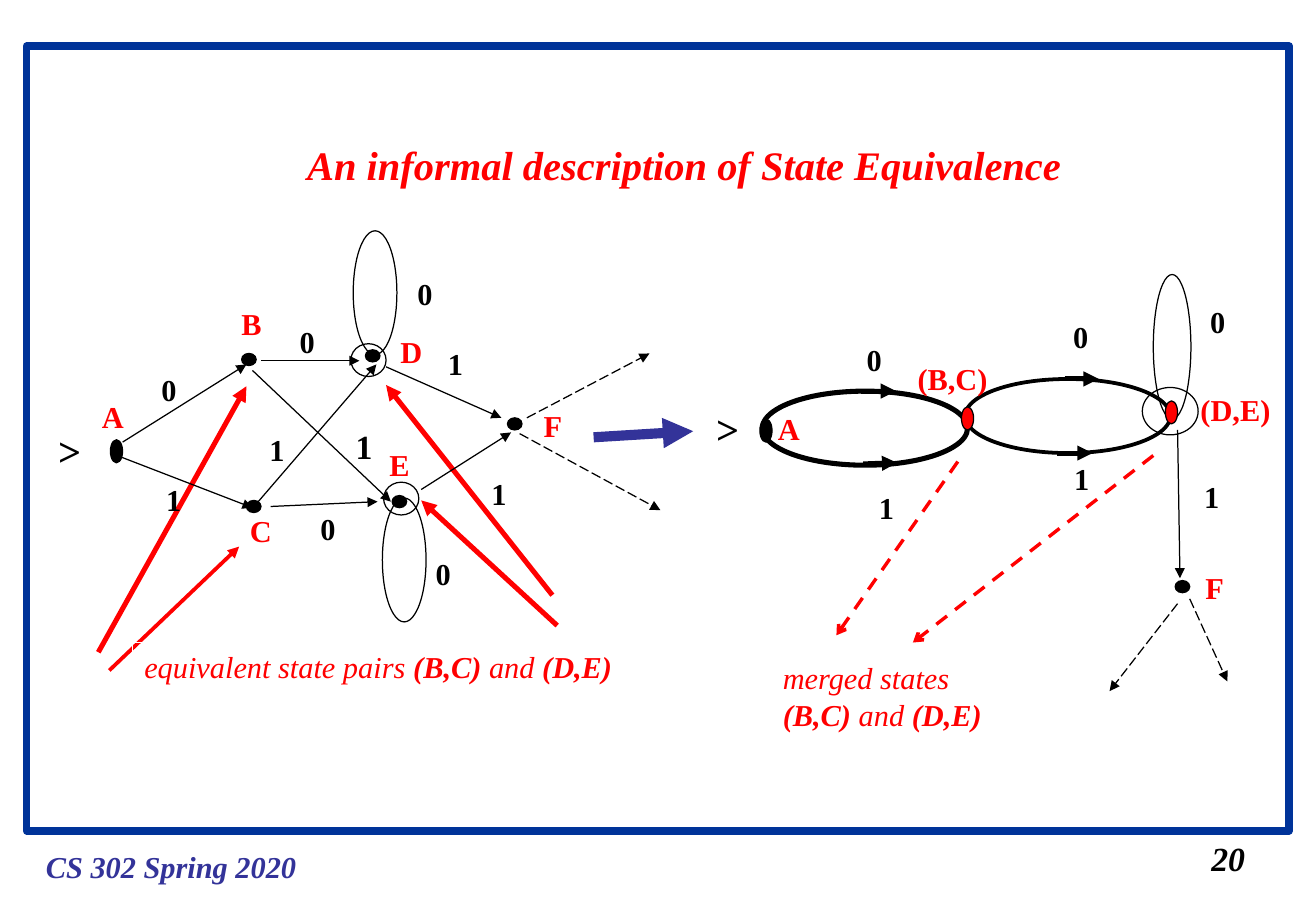
from dataclasses import dataclass

from lxml.etree import SubElement
from pptx import Presentation
from pptx.dml.color import RGBColor
from pptx.enum.dml import MSO_LINE_DASH_STYLE as Dash
from pptx.enum.shapes import MSO_CONNECTOR as Connector, MSO_SHAPE as Shape
from pptx.enum.text import MSO_ANCHOR as Anchor, MSO_AUTO_SIZE as AutoSize, PP_ALIGN as Align
from pptx.oxml.ns import qn
from pptx.util import Inches, Pt

BLACK = RGBColor(0x00, 0x00, 0x00)
WHITE = RGBColor(0xFF, 0xFF, 0xFF)
RED = RGBColor(0xFF, 0x00, 0x00)
INDIGO = RGBColor(0x33, 0x33, 0x99)
FRAME_BLUE = RGBColor(0x00, 0x33, 0x99)
FONT = "Times New Roman"
CELL = Inches(0.1)
COLUMNS, ROWS = 108.4, 75
THIN, MEDIUM, THICK = 0.75, 2.25, 3
DOT, NODE = (1.2, 1), (1, 1.9)
DIGIT_WIDTH, STATE_WIDTH, PAIR_WIDTH = 3.5, 4, 7.8


def cells(*counts):
    """Convert counts of grid cells to slide lengths."""
    return [round(count * CELL) for count in counts]


def write(shape, lines, size, color):
    """Fill a shape with lines of (text, bold, italic) runs."""
    frame = shape.text_frame
    frame.word_wrap = True
    frame.auto_size = AutoSize.NONE
    frame.vertical_anchor = Anchor.TOP
    for index, runs in enumerate(lines):
        paragraph = frame.add_paragraph() if index else frame.paragraphs[0]
        paragraph.alignment = Align.LEFT
        for text, bold, italic in runs:
            run = paragraph.add_run()
            run.text = text
            run.font.name = FONT
            run.font.size = Pt(size)
            run.font.bold = bold
            run.font.italic = italic
            run.font.color.rgb = color


@dataclass
class Region:
    """A box on the slide grid whose parts are placed from its corner."""

    slide: object
    left: float
    top: float

    def outline(self, kind, place, line=BLACK, width=THIN, fill=None):
        """Add a preset shape at (left, top, width, height)."""
        left, top, wide, high = place
        shape = self.slide.shapes.add_shape(
            kind, *cells(self.left + left, self.top + top, wide, high))
        shape.shadow.inherit = False
        shape.line.color.rgb = line
        shape.line.width = Pt(width)
        if fill is None:
            shape.fill.background()
        else:
            shape.fill.solid()
            shape.fill.fore_color.rgb = fill
        return shape

    def ovals(self, size, corners, **style):
        """Add ovals of one size at each corner."""
        for corner in corners:
            self.outline(Shape.OVAL, (*corner, *size), **style)

    def arrows(self, routes, color=BLACK, width=THIN, dash=None, head="triangle"):
        """Add an arrow along each (start x, start y, end x, end y) route."""
        for start_x, start_y, end_x, end_y in routes:
            arrow = self.slide.shapes.add_connector(
                Connector.STRAIGHT,
                *cells(self.left + start_x, self.top + start_y,
                       self.left + end_x, self.top + end_y))
            arrow.line.color.rgb = color
            arrow.line.width = Pt(width)
            if dash:
                arrow.line.dash_style = dash
            SubElement(arrow.line._get_or_add_ln(), qn("a:tailEnd"), type=head)
            SubElement(arrow._element.spPr, qn("a:effectLst"))

    def text(self, place, lines, size=18, color=RED):
        """Add a text box at (left, top, width, height)."""
        left, top, wide, high = place
        box = self.slide.shapes.add_textbox(
            *cells(self.left + left, self.top + top, wide, high))
        write(box, lines, size, color)

    def labels(self, entries, width, color, size=18):
        """Add a bold label for each (text, left, top) entry."""
        for text, left, top in entries:
            self.text((left, top, width, size / 4.5), [[(text, True, False)]], size, color)


def add_page(slide):
    """Add the frame, title, footer and page number."""
    page = Region(slide, 0, 0)
    page.outline(Shape.RECTANGLE, (2.2, 3.8, 104, 64.6), FRAME_BLUE, 4.5)
    title = slide.shapes.title
    title.left, title.top, title.width, title.height = cells(24.3, 11, 64.5, 5)
    write(title, [[("An informal description of State Equivalence", True, True)]], 24, RED)
    page.text((2.8, 69.3, 23, 4), [[("CS 302 Spring 2020", True, True)]], 18, INDIGO)
    page.text((98.8, 68.5, 4.8, 4.4), [[("20", True, True)]], 20, BLACK)
    page.arrows([(48.9, 36, 57.1, 35.5)], INDIGO, 6, Dash.LONG_DASH)


def add_equivalent_pairs(region):
    """Point from the caption to the equivalent states."""
    region.arrows([(0.1, 22.7, 12.3, 0.8), (37.5, 18, 23.8, 0.7),
                   (37.9, 20.5, 26.7, 10.2)], RED, THICK)
    region.arrows([(1, 24.2, 11.7, 14)], RED, MEDIUM)
    caption = region.outline(Shape.RECTANGLE, (2.9, 21.9, 41.1, 4), WHITE)
    write(caption, [[("equivalent state pairs ", False, True), ("(B,C)", True, True),
                     (" and ", False, True), ("(D,E)", True, True)]], 18, RED)


def add_full_automaton(region):
    """Draw the automaton with states A to F."""
    region.ovals(NODE, [(6.1, 17.2)], fill=BLACK)
    region.ovals(DOT, [(16.9, 10.1), (17.3, 22.2), (27.1, 9.8), (38.8, 15.4),
                       (29.3, 21.8)], fill=BLACK)
    region.ovals((2.9, 2.7), [(28.6, 20.7), (25.9, 9.3)])
    region.ovals((3.6, 10.2), [(26.1, 0), (28.5, 22)])
    region.arrows([(7.1, 17.4, 17.3, 11), (6.9, 18.6, 17.8, 22.8),
                   (17.8, 11.5, 29.2, 22.3), (18.1, 22.5, 28, 11),
                   (18.5, 10.7, 26.6, 10.7), (19.3, 22.7, 28.1, 22.3),
                   (28.8, 11.2, 38.3, 15.4), (31.7, 21.3, 39.1, 16.6)])
    region.arrows([(40.4, 15.4, 50.5, 10.1), (39.8, 16.7, 51.4, 23)], dash=Dash.LONG_DASH)
    region.labels([("0", 9.3, 11.1), ("1", 9.7, 20.1), ("0", 20.7, 7.1),
                   ("0", 22.4, 22.5), ("1", 18.2, 16), ("0", 31.9, 26.2),
                   ("0", 30.4, 3.2), ("1", 32.9, 8.9), ("1", 36.5, 19.6)],
                  DIGIT_WIDTH, BLACK)
    region.labels([("1", 25.3, 15.6)], DIGIT_WIDTH, BLACK, 20)
    region.labels([("A", 4.4, 13.3), ("B", 15.9, 5.6), ("C", 16.6, 22.7),
                   ("D", 29, 7.9), ("E", 28.1, 17.2), ("F", 40.8, 14)],
                  STATE_WIDTH, RED)
    region.labels([(">", 0.8, 15.6)], STATE_WIDTH, BLACK, 24)


def add_merged_automaton(region):
    """Draw the automaton after its equivalent states are merged."""
    region.ovals((16.9, 6.1), [(4.8, 10.2)], width=THICK)
    region.ovals((16.9, 6.1), [(21.5, 9.2)], width=MEDIUM)
    region.ovals((3.1, 11.9), [(37, 0.6)])
    region.ovals(NODE, [(4.6, 12.5)], fill=BLACK)
    region.ovals(NODE, [(21.2, 11.5), (38, 11)], fill=RED)
    region.ovals((4.6, 3.9), [(36.1, 9.9)])
    region.ovals(DOT, [(38.8, 25.8)], fill=BLACK)
    region.arrows([(12.9, 10.2, 15.8, 10.2), (13.1, 16.2, 15.9, 16.1),
                   (29.7, 9.2, 32.5, 9.2), (29.1, 15.3, 32, 15.3)], width=THICK)
    region.arrows([(39, 13.4, 39.2, 25.6)])
    region.arrows([(39, 27.7, 33.4, 34.9), (40, 27.3, 43.1, 34.1)], dash=Dash.LONG_DASH)
    region.labels([("0", 29.4, 3.7), ("0", 12.4, 5.6), ("1", 13.4, 17.8),
                   ("1", 29.5, 15.4), ("0", 40.7, 2.5), ("1", 40.2, 16.9)],
                  DIGIT_WIDTH, BLACK)
    region.labels([("A", 5.1, 11.3), ("F", 40.3, 24.4)], STATE_WIDTH, RED)
    region.labels([("(B,C)", 16.6, 7.2), ("(D,E)", 39.9, 9.7)], PAIR_WIDTH, RED)
    region.labels([(">", 0, 10.8)], STATE_WIDTH, BLACK, 24)


def add_merged_states(region):
    """Point from the merged states to their caption."""
    region.arrows([(15.9, 1, 5.9, 15.3), (32, 0.5, 12.2, 15.9)],
                  RED, 2, Dash.DASH, "arrow")
    region.text((0.5, 16.8, 19, 7),
                [[("merged states", False, True)],
                 [("(B,C) ", True, True), ("and ", False, True), ("(D,E)", True, True)]])


def main():
    """Build and save the presentation."""
    presentation = Presentation()
    presentation.slide_width, presentation.slide_height = cells(COLUMNS, ROWS)
    slide = presentation.slides.add_slide(presentation.slide_layouts[5])
    add_page(slide)
    add_equivalent_pairs(Region(slide, 8, 31))
    add_full_automaton(Region(slide, 3, 19))
    add_merged_automaton(Region(slide, 58, 22))
    add_merged_states(Region(slide, 63, 37))
    presentation.save("out.pptx")


if __name__ == "__main__":
    main()
